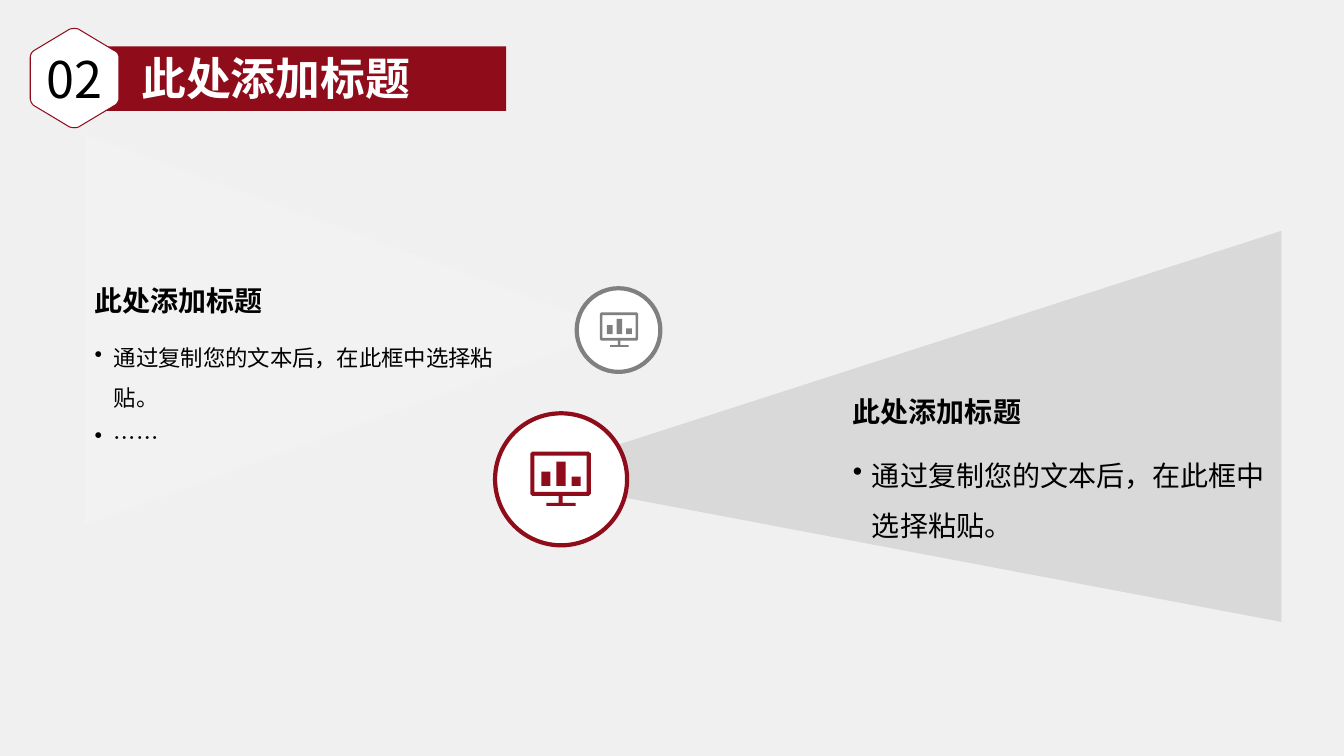
from dataclasses import dataclass

from lxml.etree import SubElement
from pptx import Presentation
from pptx.dml.color import RGBColor
from pptx.enum.lang import MSO_LANGUAGE_ID as Lang
from pptx.enum.shapes import MSO_SHAPE as Shape
from pptx.enum.text import MSO_ANCHOR as Anchor, PP_ALIGN as Align
from pptx.oxml.ns import qn
from pptx.util import Pt

PX = 9144
FONT = "Noto Sans CJK SC"
COLORS = {
    "page": "F0F0F0", "pale": "F2F2F2", "beam": "D9D9D9", "gray": "808080",
    "red": "8F0C1B", "white": "FFFFFF", "black": "000000",
}
ICON_WIDTH = 60
ICON_PARTS = [
    [(41, 25), (50, 25), (50, 34), (41, 34)],
    [(11, 20), (20, 20), (20, 34), (11, 34)],
    [(26, 10), (35, 10), (35, 34), (26, 34)],
    [(4, 4), (4, 40), (56, 40), (56, 4)],
    [(2, 0), (58, 0), (60, 2), (60, 42), (58, 44), (32, 44), (32, 51), (45, 51),
     (45, 54), (16, 54), (16, 51), (28, 51), (28, 44), (2, 44), (0, 42), (0, 2)],
]
HEXAGON_CORNERS = [
    [(118, 57), (118, 54), (116, 51), (113, 50)],
    [(78, 29), (76, 28), (72, 28), (69, 29)],
    [(34, 50), (32, 51), (30, 54), (30, 57)],
    [(30, 98), (30, 100), (32, 104), (34, 105)],
    [(69, 126), (72, 127), (76, 127), (78, 126)],
    [(113, 105), (116, 104), (118, 100), (118, 98)],
]


@dataclass
class Box:
    left: int
    top: int
    width: int
    height: int

    def emu(self) -> list[int]:
        return [v * PX for v in (self.left, self.top, self.width, self.height)]


@dataclass
class Beam:
    box: Box
    rotation: int
    apex: float
    color: str


@dataclass
class Badge:
    circle: Box
    icon_left: int
    icon_top: int
    icon_width: int
    color: str


@dataclass
class Label:
    box: Box
    lines: list[str]
    size: int
    color: str = "black"
    bold: bool = False
    bullets: bool = False
    align: Align = Align.LEFT
    anchor: Anchor = Anchor.MIDDLE
    wrap: bool = True


BEAMS = [
    Beam(Box(155, 62, 388, 530), 90, 0.5, "pale"),
    Beam(Box(698, 44, 388, 758), 270, 0.37, "beam"),
]
BADGES = [
    Badge(Box(572, 286, 83, 83), 595, 310, 38, "gray"),
    Badge(Box(491, 410, 131, 131), 526, 448, 60, "red"),
]
TITLE = "此处添加标题"
BODY = "通过复制您的文本后，在此框中选择粘贴。"
LABELS = [
    Label(Box(84, 323, 416, 73), [BODY, "……"], 16, bullets=True, anchor=Anchor.TOP),
    Label(Box(84, 274, 416, 48), [TITLE], 20, bold=True),
    Label(Box(836, 433, 435, 73), [BODY], 20, bullets=True, anchor=Anchor.TOP),
    Label(Box(836, 384, 435, 48), [TITLE], 20, bold=True),
    Label(Box(128, 45, 289, 64), [TITLE], 32, "white", bold=True,
          align=Align.RIGHT, anchor=Anchor.TOP, wrap=False),
]


def rgb(name: str) -> RGBColor:
    return RGBColor.from_string(COLORS[name])


def paint(s, fill: str, line: str | None = None, width: int = 0) -> None:
    s.shadow.inherit = False
    s.fill.solid()
    s.fill.fore_color.rgb = rgb(fill)
    if line:
        s.line.color.rgb = rgb(line)
        s.line.width = Pt(width)
    else:
        s.line.fill.background()


def write(tf, label: Label) -> None:
    tf.word_wrap = label.wrap
    tf.vertical_anchor = label.anchor
    for i, line in enumerate(label.lines):
        p = tf.add_paragraph() if i else tf.paragraphs[0]
        p.alignment = label.align
        if label.bullets:
            pPr = p._p.get_or_add_pPr()
            pPr.set("marL", str(19 * PX))
            pPr.set("indent", str(-19 * PX))
            SubElement(pPr, qn("a:buChar")).set("char", "•")
            p.line_spacing = 1.5
        r = p.add_run()
        r.text = line
        formats = {"size": Pt(label.size), "bold": label.bold, "name": FONT,
                   "language_id": Lang.SIMPLIFIED_CHINESE}
        for key, value in formats.items():
            setattr(r.font, key, value)
        r.font.color.rgb = rgb(label.color)
        SubElement(r._r.get_or_add_rPr(), qn("a:ea")).set("typeface", FONT)


def draw_beam(shapes, beam: Beam) -> None:
    s = shapes.add_shape(Shape.ISOSCELES_TRIANGLE, *beam.box.emu())
    s.adjustments[0] = beam.apex
    s.rotation = beam.rotation
    paint(s, beam.color)


def draw_badge(shapes, badge: Badge) -> None:
    paint(shapes.add_shape(Shape.OVAL, *badge.circle.emu()), "white", badge.color, 3)
    first, *others = ICON_PARTS
    builder = shapes.build_freeform(*first[0], scale=badge.icon_width * PX / ICON_WIDTH)
    builder.add_line_segments(first[1:], close=True)
    for part in others:
        builder.move_to(*part[0])
        builder.add_line_segments(part[1:], close=True)
    paint(builder.convert_to_shape(badge.icon_left * PX, badge.icon_top * PX), badge.color)


def curve(corner: list[tuple[int, int]], steps: int = 6) -> list[tuple[int, int]]:
    points = []
    for i in range(steps + 1):
        t = i / steps
        weights = ((1 - t) ** 3, 3 * t * (1 - t) ** 2, 3 * t * t * (1 - t), t ** 3)
        x, y = (sum(w * v for w, v in zip(weights, axis)) for axis in zip(*corner))
        points.append((round(x * PX), round(y * PX)))
    return points


def draw_header(shapes) -> None:
    paint(shapes.add_shape(Shape.RECTANGLE, *Box(99, 46, 403, 64).emu()), "red")
    points = [point for corner in HEXAGON_CORNERS for point in curve(corner)]
    builder = shapes.build_freeform(*points[0])
    builder.add_line_segments(points[1:], close=True)
    hexagon = builder.convert_to_shape()
    paint(hexagon, "white", "red")
    write(hexagon.text_frame, Label(Box(30, 28, 88, 99), ["02"], 36, align=Align.CENTER))


def main() -> None:
    prs = Presentation()
    prs.slide_width, prs.slide_height = 1333 * PX, 750 * PX
    slide = prs.slides.add_slide(prs.slide_layouts[6])
    slide.background.fill.solid()
    slide.background.fill.fore_color.rgb = rgb("page")
    for beam, badge in zip(BEAMS, BADGES):
        draw_beam(slide.shapes, beam)
        draw_badge(slide.shapes, badge)
    draw_header(slide.shapes)
    for label in LABELS:
        write(slide.shapes.add_textbox(*label.box.emu()).text_frame, label)
    prs.save("out.pptx")


if __name__ == "__main__":
    main()
